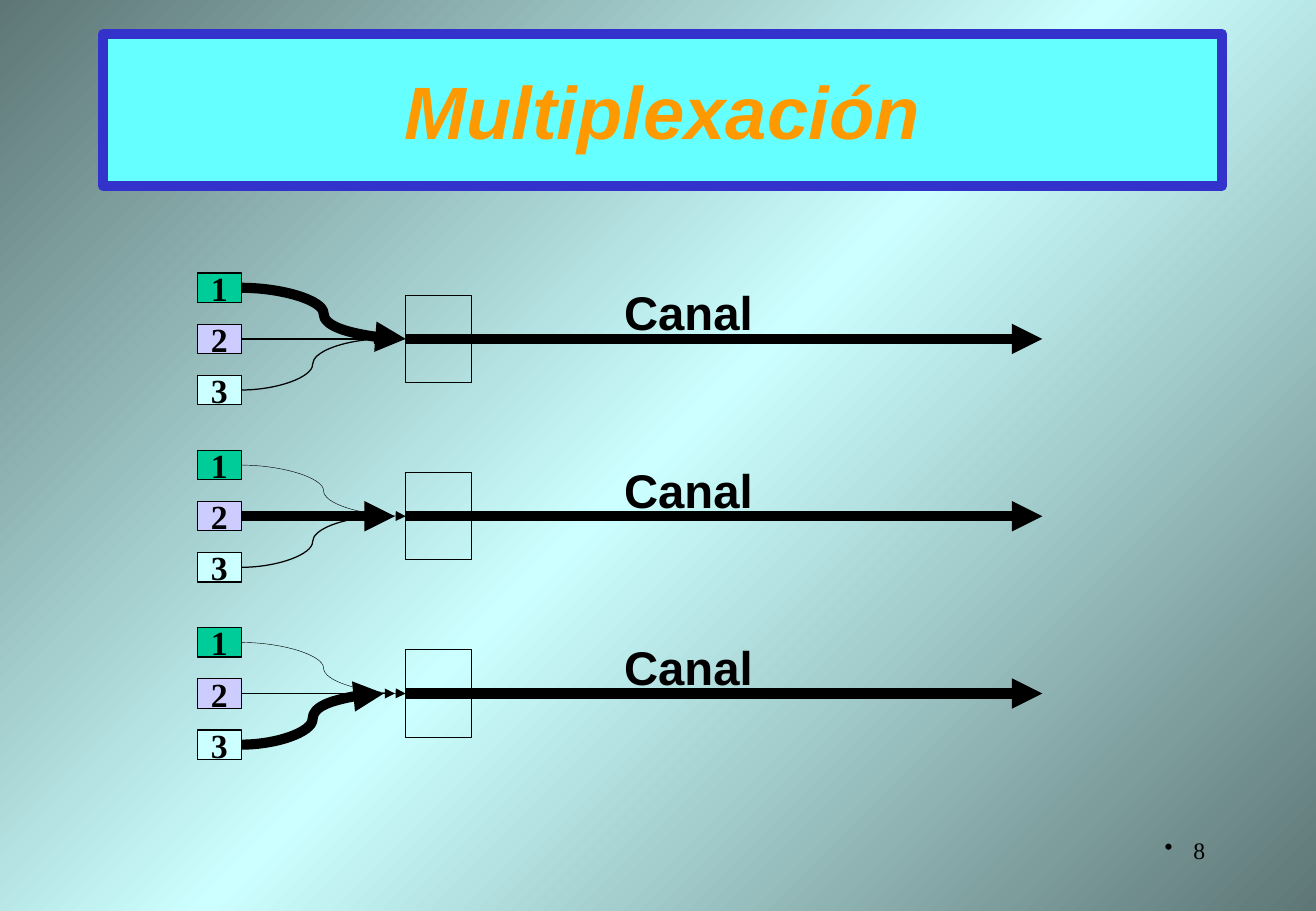
from copy import deepcopy

from pptx import Presentation
from pptx.dml.color import RGBColor
from pptx.enum.shapes import MSO_CONNECTOR as Link, MSO_SHAPE as Shape
from pptx.enum.text import MSO_ANCHOR as Anchor, PP_ALIGN as Align
from pptx.oxml.ns import qn
from pptx.oxml.xmlchemy import OxmlElement as Element
from pptx.util import Pt

BLACK = "000000"
THIN, THICK = 0.75, 6
SOURCES = [("1", "00CC99"), ("2", "CCCCFF"), ("3", "CCFFFF")]
# Line widths of the three inputs in each row
ROWS = [(THICK, THIN, THIN), (0.25, THICK, THIN), (0.25, THIN, THICK)]
ENDS = [240.5, 234, 227.5]
FIRST, STEP = 200.9, 105.1
GAP = 30.3


def color(code):
    return RGBColor.from_string(code)


def style(par, size, name, code=BLACK, bold=False, italic=False):
    font = par.runs[0].font
    font.size, font.name = Pt(size), name
    font.bold, font.italic = bold, italic
    font.color.rgb = color(code)


def outline(shape, code, width):
    shape.line.color.rgb = color(code)
    shape.line.width = Pt(width)


def paint(slide):
    """Fill the background with a diagonal three-stop gradient."""
    fill = slide.background.fill
    fill.gradient()
    fill.gradient_angle = 315
    stops = slide.element.find(".//" + qn("a:gsLst"))
    stops.append(deepcopy(stops[0]))
    for stop, place, code in zip(fill.gradient_stops, (0, 0.5, 1),
                                 ("5E7676", "CCFFFF", "5E7676")):
        stop.position = place
        stop.color.rgb = color(code)


def add_title(slide):
    title = slide.shapes.title
    title.left, title.top = Pt(61.2), Pt(20.2)
    title.width, title.height = Pt(663.1), Pt(90)
    title.fill.solid()
    title.fill.fore_color.rgb = color("66FFFF")
    outline(title, "3333CC", 6)
    frame = title.text_frame
    frame.text = "Multiplexación"
    frame.vertical_anchor = Anchor.MIDDLE
    par = frame.paragraphs[0]
    par.alignment = Align.CENTER
    style(par, 44, "Arial", "FF9900", bold=True, italic=True)


def add_text(shapes, text, left, top, width, height):
    frame = shapes.add_textbox(Pt(left), Pt(top), Pt(width),
                               Pt(height)).text_frame
    frame.word_wrap = True
    frame.text = text
    return frame.paragraphs[0]


def add_number(slide):
    par = add_text(slide.shapes, "8", 558.7, 491.8, 162.7, 36)
    par.alignment = Align.RIGHT
    props = par._p.get_or_add_pPr()
    props.set("marL", str(Pt(17)))
    props.set("indent", str(-Pt(17)))
    bullet = Element("a:buChar")
    bullet.set("char", "•")
    props.append(bullet)
    style(par, 14, "Times New Roman")


def add_box(shapes, left, top, width, height, code=None, text=""):
    box = shapes.add_shape(Shape.RECTANGLE, Pt(left), Pt(top),
                           Pt(width), Pt(height))
    box.shadow.inherit = False
    outline(box, BLACK, THIN)
    if code:
        box.fill.solid()
        box.fill.fore_color.rgb = color(code)
    else:
        box.fill.background()
    if text:
        frame = box.text_frame
        frame.word_wrap = False
        frame.vertical_anchor = Anchor.MIDDLE
        frame.text = text
        par = frame.paragraphs[0]
        par.alignment = Align.CENTER
        style(par, 20, "Times New Roman", bold=True)


def add_arrow(shapes, kind, start, end, width):
    arrow = shapes.add_connector(kind, *map(Pt, start + end))
    outline(arrow, BLACK, width)
    head = Element("a:tailEnd")
    head.set("type", "triangle")
    arrow.line._get_or_add_ln().append(head)
    arrow._element.spPr.append(Element("a:effectLst"))


def add_row(slide, axis, widths):
    """Draw three inputs that share one channel, centred on axis."""
    shapes = slide.shapes.add_group_shape().shapes
    add_arrow(shapes, Link.STRAIGHT, (240.5, axis), (617.8, axis), THICK)
    levels = [axis + GAP * i for i in (-1, 0, 1)]
    for (text, code), y in zip(SOURCES, levels):
        add_box(shapes, 116.9, y - 8.7, 26.2, 17.4, code, text)
    add_box(shapes, 240.5, axis - 25.9, 39, 51.8)
    for y, end, width in zip(levels, ENDS, widths):
        kind = Link.STRAIGHT if y == axis else Link.CURVE
        add_arrow(shapes, kind, (143.1, y), (end, axis), width)
    label = add_text(shapes, "Canal", 362.9, axis - 36.3, 98.6, 41)
    style(label, 28, "Arial", bold=True)


def main():
    deck = Presentation()
    deck.slide_width, deck.slide_height = Pt(780), Pt(540)
    slide = deck.slides.add_slide(deck.slide_layouts[5])
    paint(slide)
    add_number(slide)
    add_title(slide)
    for i, widths in enumerate(ROWS):
        add_row(slide, FIRST + STEP * i, widths)
    deck.save("out.pptx")


if __name__ == "__main__":
    main()
